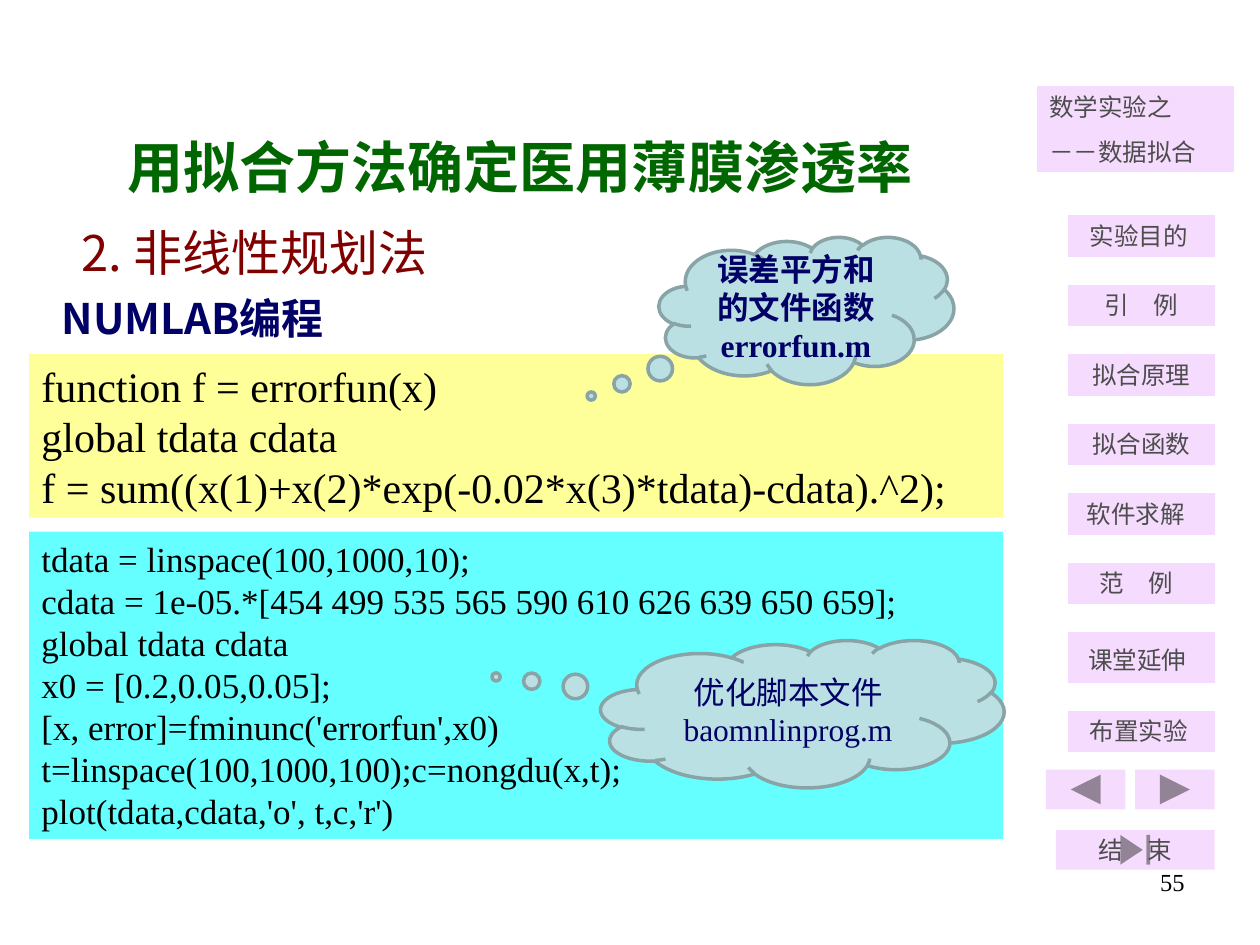
from pptx import Presentation
from pptx.dml.color import RGBColor
from pptx.enum.shapes import MSO_SHAPE
from pptx.enum.text import MSO_ANCHOR, PP_ALIGN
from pptx.oxml.ns import qn
from pptx.util import Pt

RECT = MSO_SHAPE.RECTANGLE
CLOUD = MSO_SHAPE.CLOUD_CALLOUT
BACK = MSO_SHAPE.ACTION_BUTTON_BACK_OR_PREVIOUS
NEXT = MSO_SHAPE.ACTION_BUTTON_FORWARD_OR_NEXT
END = MSO_SHAPE.ACTION_BUTTON_END
TOP, MIDDLE = MSO_ANCHOR.TOP, MSO_ANCHOR.MIDDLE
LEFT, CENTER, RIGHT = PP_ALIGN.LEFT, PP_ALIGN.CENTER, PP_ALIGN.RIGHT
HAN, SERIF, SANS = "Noto Sans CJK SC", "Times New Roman", "Arial"
PINK, GRAY, NAVY, WHITE = "F5DBFD", "4D4D4D", "000066", "FFFFFF"
NAV = {"size": Pt(14), "name": HAN, "color": GRAY}


def paint(target, color):
    target.rgb = RGBColor.from_string(color)


def style(font, form):
    for key, value in form.items():
        if key == "color":
            paint(font.color, value)
        else:
            setattr(font, key, value)


def write(shape, paras, form, align=LEFT, anchor=TOP, gap=0, **frame):
    body = shape.text_frame
    values = {
        "word_wrap": True,
        "vertical_anchor": anchor,
        "margin_left": Pt(7.2),
        "margin_right": Pt(7.2),
        "margin_top": Pt(3.6),
        "margin_bottom": Pt(3.6),
        **frame,
    }
    for key, value in values.items():
        setattr(body, key, value)
    for index, runs in enumerate(paras):
        para = body.add_paragraph() if index else body.paragraphs[0]
        para.alignment = align
        if index and gap:
            para.space_before = Pt(gap)
        for text, extra in runs:
            run = para.add_run()
            run.text = text
            style(run.font, {**form, **extra})
            latin = run.font._element.find(qn("a:latin"))
            asian = latin.makeelement(qn("a:ea"), {"typeface": HAN})
            latin.addnext(asian)


def plain(*lines):
    return [[(line, {})] for line in lines]


def add_shape(slide, kind, box, fill, line=None, width=0.75):
    shape = slide.shapes.add_shape(kind, *map(Pt, box))
    shape.shadow.inherit = False
    shape.fill.solid()
    paint(shape.fill.fore_color, fill)
    if line:
        paint(shape.line.color, line)
        shape.line.width = Pt(width)
    else:
        shape.line.fill.background()
    return shape


def add_text(slide, box, text, form, align=LEFT):
    write(slide.shapes.add_textbox(*map(Pt, box)), plain(text), form, align)


def add_menu(slide, box):
    left, top, width, height = box
    head = add_shape(slide, RECT, (left, top, width, 49.7), PINK, WHITE)
    write(head, plain("数学实验之", "－－数据拟合"), NAV, gap=8.8)
    items = [
        ("实验目的", HAN, 3.1, 0),
        ("引　例", HAN, 0, 0),
        ("拟合原理", SANS, 0, 0),
        ("拟合函数", SANS, 0, 0),
        ("软件求解", HAN, 6.2, 0),
        ("范　例", HAN, 6.2, 0),
        ("课堂延伸", HAN, 4.5, 4),
        ("布置实验", HAN, 3.1, 0),
    ]
    y = top + 73.5
    for text, name, shift, drop in items:
        tall = 24.5 + 1.25 * drop
        item = add_shape(slide, RECT, (left + 17.3, y, 85, tall), PINK, WHITE)
        write(item, plain(text), {**NAV, "name": name}, CENTER,
              margin_right=Pt(7.2 + shift), margin_top=Pt(3.6 + drop))
        y += tall + 15.25
    edge = left + width - 11.4
    base = top + height
    for kind, x in ((BACK, edge - 96.4), (NEXT, edge - 45.4)):
        add_shape(slide, kind, (x, base - 57.2, 45.4, 22.7), PINK)
    stop = add_shape(slide, END, (edge - 90.7, base - 22.7, 90.7, 22.7), PINK)
    write(stop, plain("结　束"), NAV, CENTER, MIDDLE, word_wrap=False)


def add_heads(slide, box):
    left, top, width, height = box
    add_text(slide, (left + 16.5, top, 505.4, 46), "用拟合方法确定医用薄膜渗透率",
             {"size": Pt(32), "name": SERIF, "color": "006600", "bold": True}, CENTER)
    add_text(slide, (left + 11.5, top + 51.8, 288, 41), "2. 非线性规划法",
             {"size": Pt(28), "name": HAN, "color": "800000"})
    add_text(slide, (left, top + height - 36, width, 36), "NUMLAB编程",
             {"size": Pt(24), "name": HAN, "color": NAVY, "bold": True})


def add_code(slide, box, fill, size, lines):
    panel = add_shape(slide, RECT, box, fill)
    write(panel, plain(*lines), {"size": Pt(size), "name": SERIF, "color": "000000"})


def add_cloud(slide, box, tail, label, file, bold):
    cloud = add_shape(slide, CLOUD, box, "BBE0E3", "89A4A7", 2)
    for index, value in enumerate(tail):
        cloud.adjustments[index] = value
    form = {"size": Pt(18), "name": HAN, "color": NAVY, "bold": bold}
    write(cloud, [[(label, {}), (file, {"name": SERIF})]], form, CENTER, MIDDLE)


def main():
    deck = Presentation()
    deck.slide_width, deck.slide_height = Pt(720), Pt(540)
    slide = deck.slides.add_slide(deck.slide_layouts[6])
    add_text(slide, (516.2, 491.8, 167.8, 37.4), "55",
             {"size": Pt(14), "name": SERIF, "color": "000000"}, RIGHT)
    add_menu(slide, (592.5, 49, 113, 448))
    add_heads(slide, (28.1, 72, 534.2, 127.4))
    add_code(slide, (16.6, 202.3, 556.6, 93.6), "FFFF99", 24, [
        "function f = errorfun(x)",
        "global tdata cdata",
        "f = sum((x(1)+x(2)*exp(-0.02*x(3)*tdata)-cdata).^2);",
    ])
    add_code(slide, (16.6, 303.8, 556.6, 175.7), "66FFFF", 20, [
        "tdata = linspace(100,1000,10);",
        "cdata = 1e-05.*[454 499 535 565 590 610 626 639 650 659];",
        "global tdata cdata",
        "x0 = [0.2,0.05,0.05];",
        "[x, error]=fminunc('errorfun',x0)",
        "t=linspace(100,1000,100);c=nongdu(x,t);",
        "plot(tdata,cdata,'o', t,c,'r')",
    ])
    add_cloud(slide, (376.6, 135.4, 168.5, 84.2), (-0.73, 0.58),
              "误差平方和的文件函数", "errorfun.m", True)
    add_cloud(slide, (343.4, 365.8, 230.4, 84.2), (-0.76, -0.25),
              "优化脚本文件", "baomnlinprog.m", False)
    deck.save("out.pptx")


if __name__ == "__main__":
    main()
